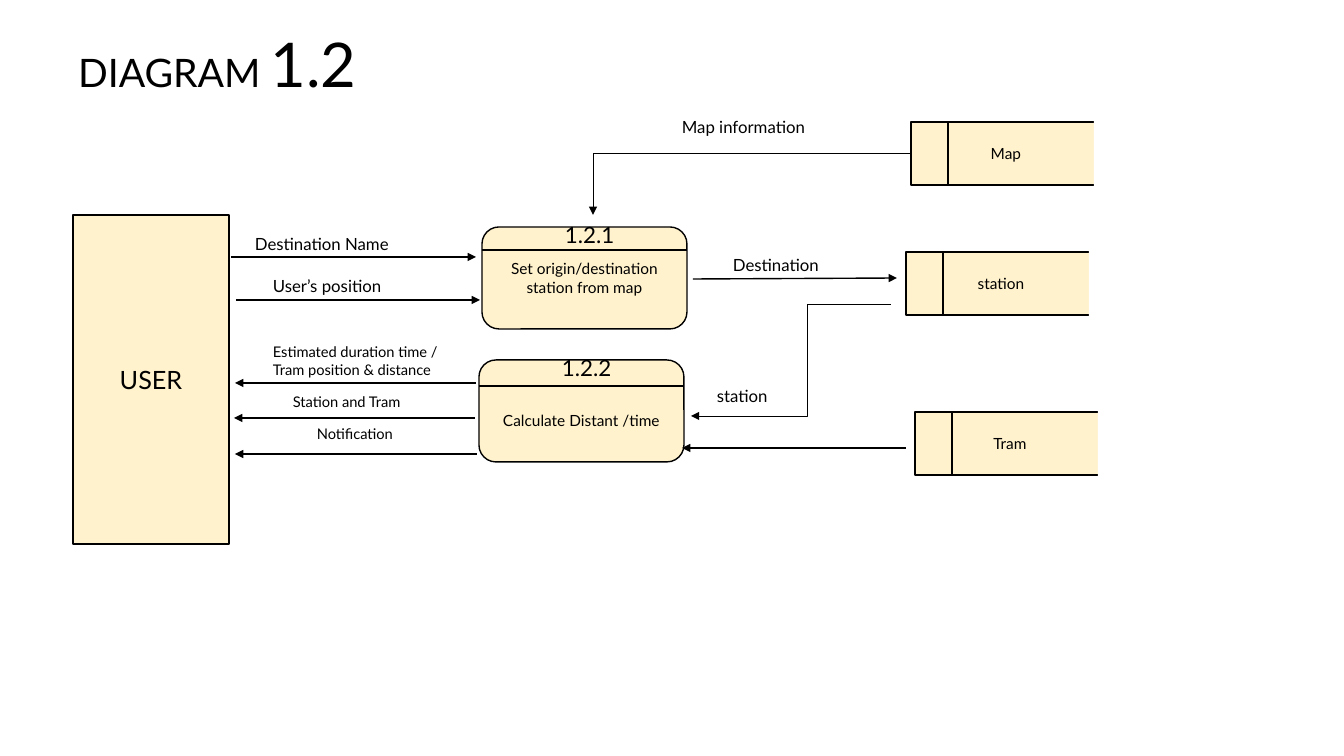
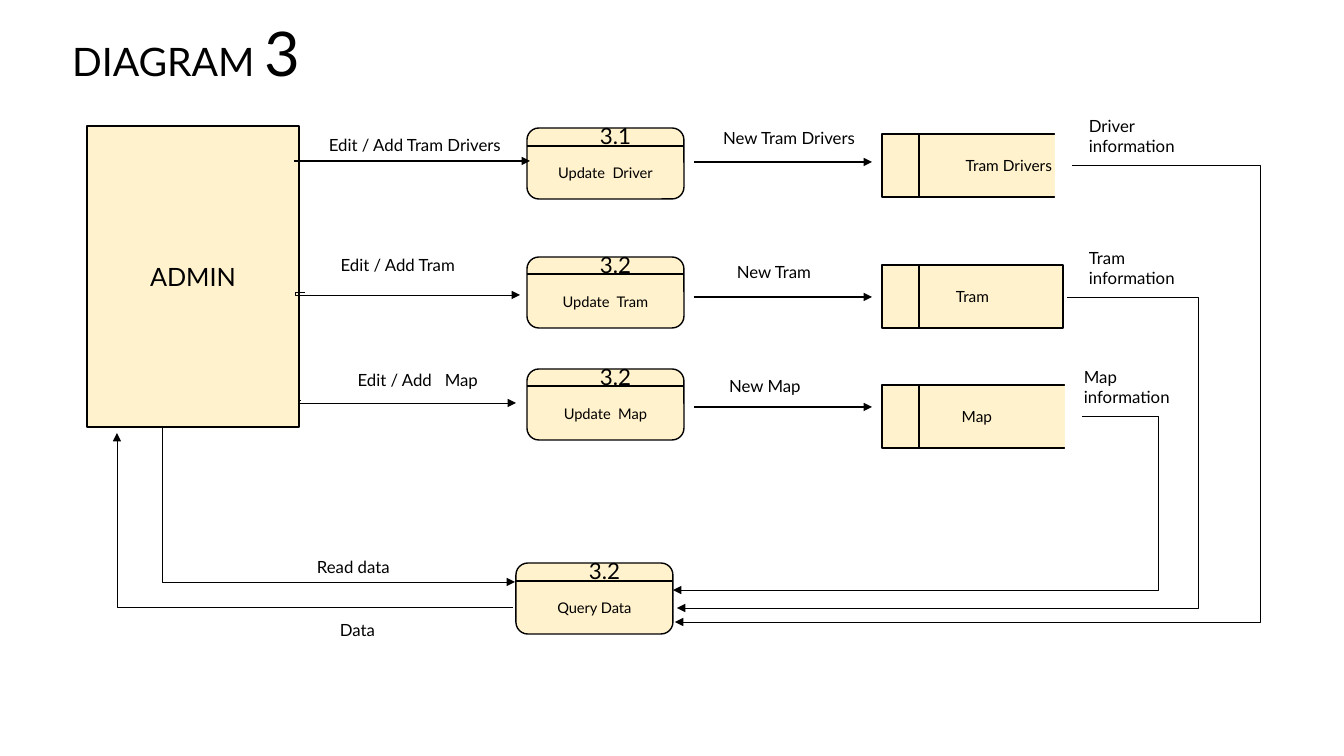
from pptx import Presentation
from pptx.dml.color import RGBColor
from pptx.enum.shapes import MSO_CONNECTOR as LINK, MSO_SHAPE as SHAPE
from pptx.enum.text import MSO_ANCHOR as ANCHOR, MSO_AUTO_SIZE as FIT, PP_ALIGN as ALIGN
from pptx.oxml.ns import qn
from pptx.util import Pt
from lxml import etree

SCALE = 914400 / 100.8
FONT = "Lato"
COLOURS = {"ink": "000000", "fill": "FFF2CC", "paper": "FFFFFF"}
INK, FILL, PAPER = [RGBColor.from_string(code) for code in COLOURS.values()]
LEFT, CENTER, RIGHT = ALIGN.LEFT, ALIGN.CENTER, ALIGN.RIGHT


def px(*lengths):
    return [round(length * SCALE) for length in lengths]


def write(frame, text, size=12, align=LEFT, anchor=ANCHOR.TOP, top=5, tail="", tail_size=44):
    frame.word_wrap = True
    frame.auto_size = FIT.NONE
    frame.vertical_anchor = anchor
    frame.margin_top = px(top)[0]
    for index, line in enumerate(text.split("\n")):
        para = frame.add_paragraph() if index else frame.paragraphs[0]
        para.alignment = align
        for words, points in ((line, size), (tail, tail_size)):
            if words:
                span = para.add_run()
                span.text = words
                span.font.name = FONT
                span.font.size = Pt(points)
                span.font.color.rgb = INK


diagrams = [
    {
        "title": ("1.2", 68, 21),
        "actor": ("USER", 73, 215, 156, 329),
        "process_size": (205, 102),
        "number_shift": 73,
        "process_text": 11,
        "processes": [
            ("1.2.1", "Set origin/destination station from map", 482, 227, 23, 5),
            ("1.2.2", "Calculate Distant /time", 479, 360, 26, 23),
        ],
        "stores": [
            ("Map", 911, 122, 190, CENTER, True),
            ("station", 906, 252, 190, CENTER, True),
            ("Tram", 915, 412, 190, CENTER, True),
        ],
        "arrows": [
            (231, 257, 476, 257), (236, 300, 480, 300),
            (476, 383, 235, 383), (475, 418, 234, 418), (477, 454, 235, 454),
            (693, 279, 897, 278), (906, 448, 682, 448),
        ],
        "elbows": [(911, 153, 593, 215, 593), (891, 304, 691, 416, 807)],
        "labels": [
            ("Destination Name", 245, 229, 246, 12, LEFT),
            ("User’s position", 263, 271, 156, 12, LEFT),
            ("Estimated duration time /\nTram position & distance", 263, 338, 196, 10.5, LEFT),
            ("Station and Tram", 283, 388, 196, 10.5, LEFT),
            ("Notification", 307, 420, 196, 10.5, LEFT),
            ("Destination", 723, 250, 114, 12, LEFT),
            ("Map information", 672, 112, 173, 12, LEFT),
            ("station", 707, 381, 83, 12, LEFT),
        ],
    },
    {
        "title": ("3", 62, 10),
        "actor": ("ADMIN", 87, 126, 212, 301),
        "process_size": (157, 71),
        "number_shift": 63,
        "process_text": 10.5,
        "processes": [
            ("3.1", "Update  Driver", 527, 128, 18, 23),
            ("3.2", "Update  Tram", 527, 257, 17, 23),
            ("3.2", "Update  Map", 527, 369, 17, 23),
            ("3.2", "Query Data", 516, 563, 18, 23),
        ],
        "stores": [
            ("Tram Drivers", 882, 134, 180, RIGHT, True),
            ("Tram", 882, 265, 181, CENTER, False),
            ("Map", 882, 385, 190, CENTER, True),
        ],
        "arrows": [(294, 161, 530, 161)] + [(694, y, 872, y) for y in (162, 297, 407)],
        "elbows": [
            (1082, 416, 673, 590, 1158),
            (1067, 297, 677, 608, 1198),
            (1072, 165, 675, 622, 1260),
            (162, 427, 515, 582, 162),
            (513, 607, 117, 433, 117),
            (301, 400, 516, 403, 298),
            (305, 292, 520, 295, 295),
        ],
        "labels": [
            ("Driver information", 1079, 111, 126, 12, LEFT),
            ("Tram information", 1079, 243, 126, 12, LEFT),
            ("Map information", 1074, 362, 126, 12, LEFT),
            ("Read data", 307, 552, 112, 12, LEFT),
            ("Data", 330, 615, 69, 12, LEFT),
            ("New Tram Drivers", 688, 123, 177, 12, RIGHT),
            ("New Tram", 701, 257, 120, 12, RIGHT),
            ("New Map", 684, 371, 162, 12, CENTER),
            ("Edit / Add Tram Drivers", 299, 130, 212, 12, RIGHT),
            ("Edit / Add Tram", 308, 250, 157, 12, RIGHT),
            ("Edit / Add   Map", 276, 365, 212, 12, RIGHT),
        ],
    },
]

deck = Presentation()
deck.slide_width, deck.slide_height = px(1344, 756)

for diagram in diagrams:
    page = deck.slides.add_slide(deck.slide_layouts[5])
    number, x, y = diagram["title"]
    title = page.shapes.title
    title.left, title.top, title.width, title.height = px(x, y, 330, 85)
    write(title.text_frame, "DIAGRAM ", size=28, tail=number)

    name, *place = diagram["actor"]
    boxes = [(SHAPE.RECTANGLE, place, name, 18, CENTER, 5)]
    lines = [(*arrow, None, True) for arrow in diagram["arrows"]]
    lines += [(*elbow, True) for elbow in diagram["elbows"]]
    labels = list(diagram["labels"])

    width, height = diagram["process_size"]
    for number, name, x, y, band, top in diagram["processes"]:
        boxes.append((SHAPE.ROUNDED_RECTANGLE, (x, y, width, height), name,
                      diagram["process_text"], CENTER, top))
        lines.append((x, y + band, x + width, y + band, None, False))
        labels.append((number, x + diagram["number_shift"], y - 11, 76, 16, LEFT))

    for name, x, y, width, align, is_open in diagram["stores"]:
        boxes.append((SHAPE.RECTANGLE, (x, y, width, 63), name, 11, align, 5))
        lines.append((x + 37, y, x + 37, y + 63, None, False))
        if is_open:
            boxes.append((SHAPE.RECTANGLE, (x + width - 7, y - 2, 16, 67), "", 11, align, 5))

    for kind, place, name, size, align, top in boxes:
        box = page.shapes.add_shape(kind, *px(*place))
        box.shadow.inherit = False
        box.fill.solid()
        box.fill.fore_color.rgb = FILL if name else PAPER
        if name:
            box.line.color.rgb = INK
            box.line.width = Pt(1)
            write(box.text_frame, name, size=size, align=align, anchor=ANCHOR.MIDDLE, top=top)
        else:
            box.line.fill.background()

    for x1, y1, x2, y2, bend, has_head in lines:
        kind = LINK.STRAIGHT if bend is None else LINK.ELBOW
        link = page.shapes.add_connector(kind, *px(x1, y1, x2, y2))
        link.line.color.rgb = INK
        link.line.width = Pt(1 if bend is None else 0.5)
        properties = link._element.spPr
        if bend is not None:
            geometry = properties.find(qn("a:prstGeom"))
            if bend == x2:
                geometry.set("prst", "bentConnector2")
            else:
                ratio = round((bend - x1) / (x2 - x1) * 100000)
                guides = geometry.find(qn("a:avLst"))
                etree.SubElement(guides, qn("a:gd"), name="adj1", fmla=f"val {ratio}")
        if has_head:
            etree.SubElement(properties.find(qn("a:ln")), qn("a:tailEnd"), type="triangle")
        etree.SubElement(properties, qn("a:effectLst"))

    for text, x, y, width, size, align in labels:
        label = page.shapes.add_textbox(*px(x, y, width, 30))
        write(label.text_frame, text, size=size, align=align)

deck.save("out.pptx")
